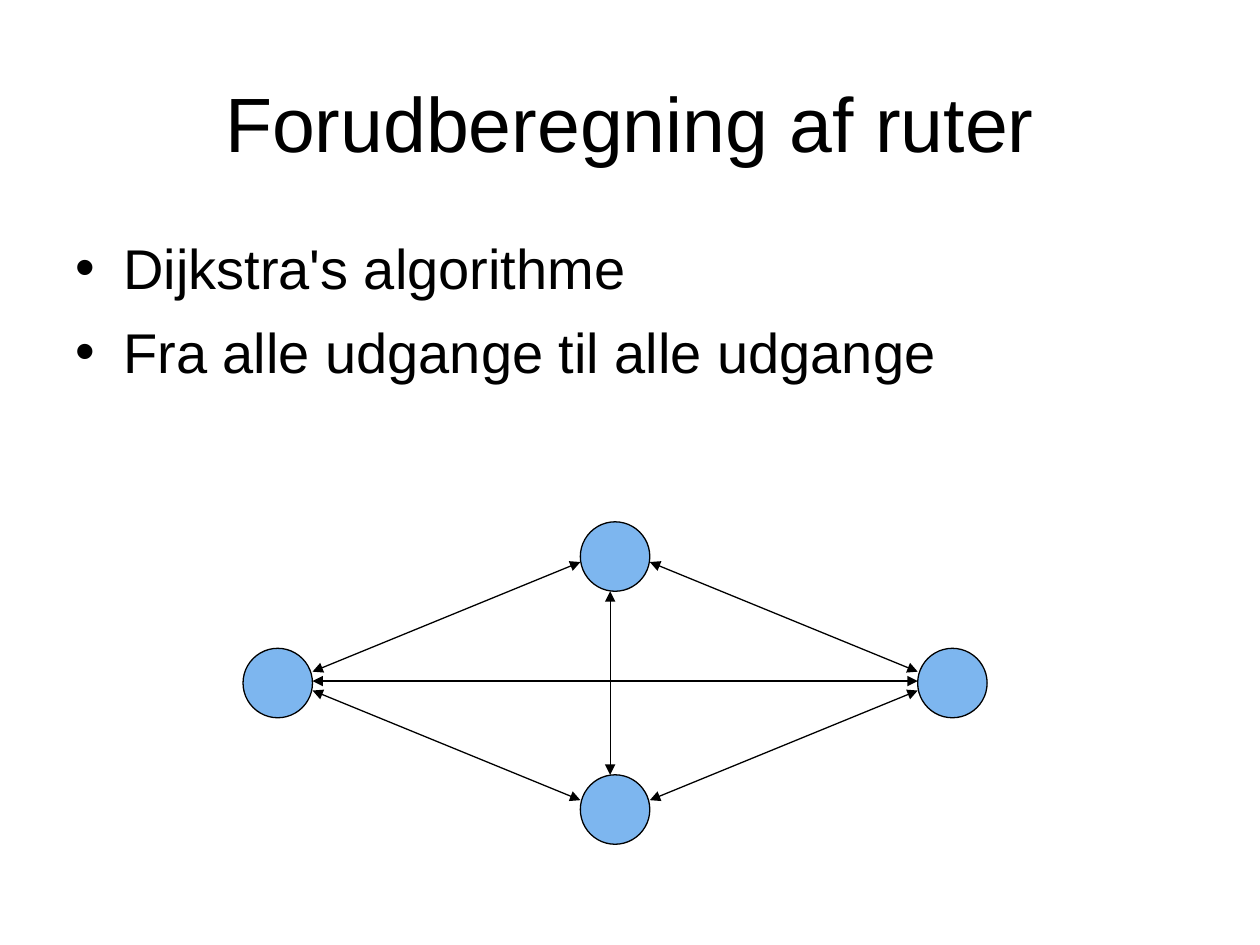
from itertools import product

from lxml.etree import SubElement
from pptx import Presentation
from pptx.dml.color import RGBColor
from pptx.enum.shapes import MSO_CONNECTOR as Connector, MSO_SHAPE as Shape
from pptx.enum.text import MSO_ANCHOR as Anchor, PP_ALIGN as Align
from pptx.oxml.ns import qn
from pptx.util import Cm, Pt

BLACK = "000000"
NODE_BLUE = "7DB6EF"
DIAMETER = 1.4
RADIUS = DIAMETER / 2
CENTER_X, CENTER_Y = 12.4, 13.77
REACH_X, REACH_Y = 6.8, 2.55
ARROW_Y = 13.73
ARROW_SIDE, ARROW_POLE = 0.19, 2.4


def color(value):
    return RGBColor.from_string(value)


def place(box, left, top, width, height):
    box.left, box.top, box.width, box.height = map(Cm, (left, top, width, height))


def add_bullet(para):
    properties = para._p.get_or_add_pPr()
    properties.set("marL", str(Cm(0.96)))
    properties.set("indent", str(Cm(-0.96)))
    tint = SubElement(properties, qn("a:buClr"))
    SubElement(tint, qn("a:srgbClr"), val=BLACK)
    SubElement(properties, qn("a:buFont"), typeface="Arial")
    SubElement(properties, qn("a:buChar"), char="•")


def write(para, text, size, align=Align.LEFT, bullet=False, before=0):
    if bullet:
        add_bullet(para)
    para.alignment = align
    para.space_before = Pt(before)
    span = para.add_run()
    span.text = text
    span.font.name = "Arial"
    span.font.size = Pt(size)
    span.font.color.rgb = color(BLACK)


def fill_title(box, text):
    place(box, 1.27, 0.76, 22.86, 3.18)
    frame = box.text_frame
    frame.vertical_anchor = Anchor.MIDDLE
    frame.margin_top = Cm(0.33)
    write(frame.paragraphs[0], text, 44, align=Align.CENTER)


def fill_list(box, items):
    place(box, 1.27, 4.45, 22.86, 12.57)
    frame = box.text_frame
    frame.vertical_anchor = Anchor.TOP
    frame.margin_top = Cm(0.25)
    for index, item in enumerate(items):
        para = frame.add_paragraph() if index else frame.paragraphs[0]
        write(para, item, 32, bullet=True, before=10 if index else 0)


def add_node(page, x, y):
    node = page.shapes.add_shape(
        Shape.OVAL, Cm(x - RADIUS), Cm(y - RADIUS), Cm(DIAMETER), Cm(DIAMETER))
    node.shadow.inherit = False
    node.fill.solid()
    node.fill.fore_color.rgb = color(NODE_BLUE)
    node.line.color.rgb = color(BLACK)
    node.line.width = Pt(0.75)


def add_arrow(page, x1, y1, x2, y2):
    arrow = page.shapes.add_connector(
        Connector.STRAIGHT, Cm(x1), Cm(y1), Cm(x2), Cm(y2))
    arrow.line.color.rgb = color(BLACK)
    arrow.line.width = Pt(0.75)
    line = arrow.line._get_or_add_ln()
    for end in ("a:headEnd", "a:tailEnd"):
        SubElement(line, qn(end), type="triangle")
    SubElement(arrow._element.spPr, qn("a:effectLst"))


def draw_network(page):
    for side in (-1, 1):
        add_node(page, CENTER_X + side * REACH_X, CENTER_Y)
        add_node(page, CENTER_X, CENTER_Y + side * REACH_Y)

    for side, pole in product((-1, 1), repeat=2):
        add_arrow(page,
                  CENTER_X + side * (REACH_X - RADIUS), ARROW_Y + pole * ARROW_SIDE,
                  CENTER_X + side * RADIUS, ARROW_Y + pole * ARROW_POLE)

    half_width, half_height = REACH_X - RADIUS, REACH_Y - RADIUS
    add_arrow(page, CENTER_X - half_width, ARROW_Y, CENTER_X + half_width, ARROW_Y)
    add_arrow(page, 12.3, CENTER_Y - half_height, 12.3, CENTER_Y + half_height)


def main():
    deck = Presentation()
    deck.slide_width, deck.slide_height = Cm(25.4), Cm(19.05)
    page = deck.slides.add_slide(deck.slide_layouts[1])
    page.background.fill.solid()
    page.background.fill.fore_color.rgb = color("FFFFFF")
    fill_title(page.shapes.title, "Forudberegning af ruter")
    fill_list(page.placeholders[1],
              ["Dijkstra's algorithme", "Fra alle udgange til alle udgange"])
    draw_network(page)
    deck.save("out.pptx")


if __name__ == "__main__":
    main()
